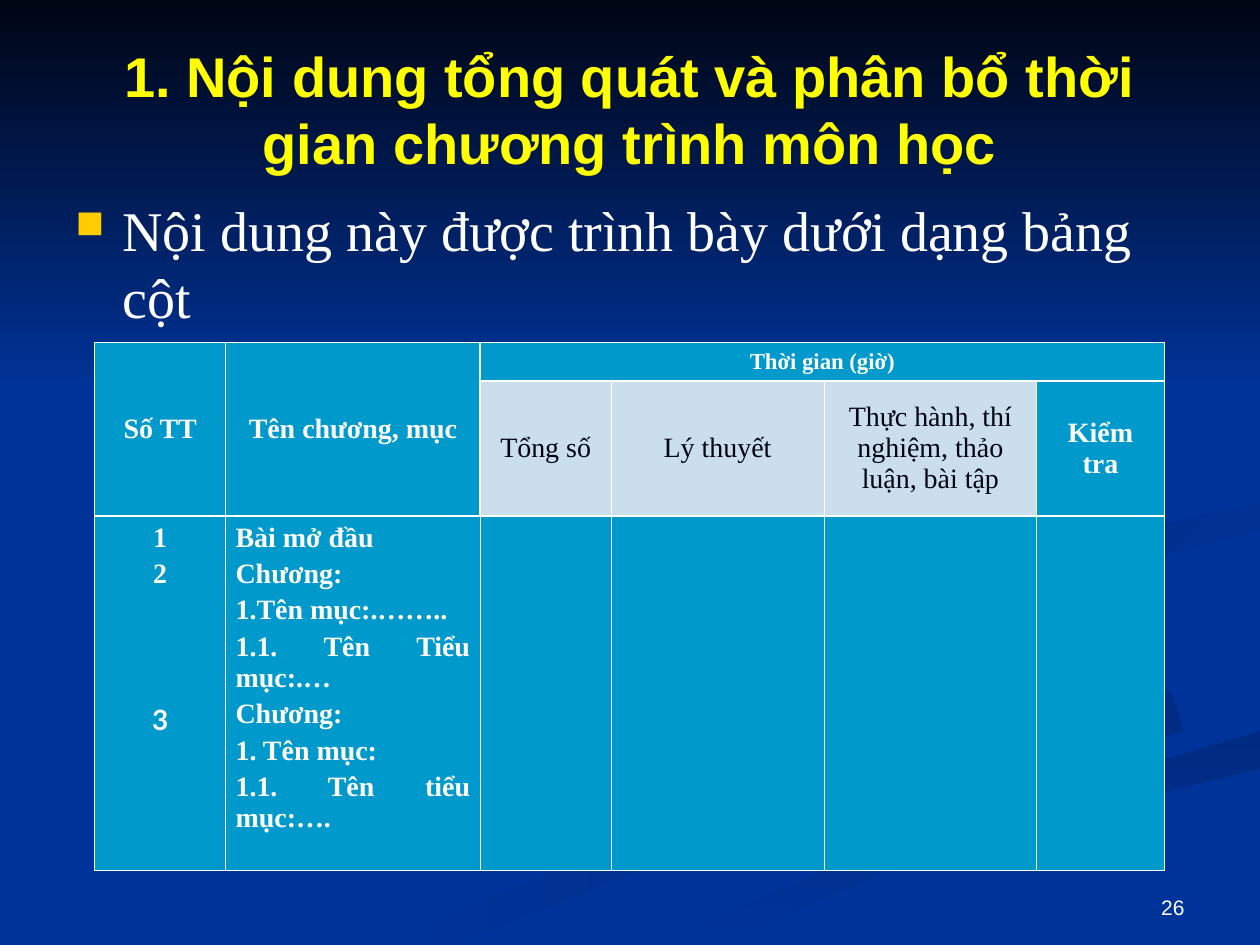
"""Build the slide on general content and time allocation of a course programme."""
from lxml import etree
from pptx import Presentation
from pptx import util as u
from pptx.dml import color
from pptx.enum import text
from pptx.oxml import ns

THEME = {
    "background": "003399", "night": "000514", "title": "FFFF00", "light": "FFFFFF",
    "bullet": "FFCC00", "cell": "0099CC", "pale": "CBDEEC", "shade": "002B82",
    "heading_size": 32, "table_size": 16, "group_size": 13, "number_size": 12,
    "sans": "Arial", "serif": "Times New Roman", "digit": "Lato",
    "thin": 0.45, "thick": 1.47,
}
TITLE = "1. Nội dung tổng quát và phân bổ thời gian chương trình môn học"
BODY = "Nội dung này được trình bày dưới dạng bảng cột"
SLIDE_NUMBER = "26"
COLUMNS = [2.64, 5.13, 2.64, 4.29, 4.29, 2.57]
ROWS = [0.71, 2.72, 7.16]
HEADERS = [
    (0, 0, "Số TT"), (0, 1, "Tên chương, mục"), (0, 2, "Thời gian (giờ)"),
    (1, 2, "Tổng số"), (1, 3, "Lý thuyết"),
    (1, 4, "Thực hành, thí nghiệm, thảo luận, bài tập"), (1, 5, "Kiểm tra"),
]
MERGES = [((0, 0), (1, 0)), ((0, 1), (1, 1)), ((0, 2), (0, 5))]
NUMBERS = ["1", "2", "3"]
CHAPTERS = [
    "Bài mở đầu", "Chương:", "1.Tên mục:.……..", "1.1. Tên Tiểu mục:.…",
    "Chương:", "1. Tên mục:", "1.1. Tên tiểu mục:….",
]
POINT_UNIT = u.Cm(0.254)
SWIRLS = [
    ("background", "shade", 0, [
        (57, 46), (78, 55), (78, 58), (54, 65), (30, 75), (36, 75), (56, 67), (80, 58), (78, 55)]),
    ("background", "shade", 45, [
        (72, 46), (77, 51), (91, 56), (90, 60), (94, 58), (93, 55), (76, 50)]),
    ("shade", "background", 90, [
        (50, 75), (57, 75), (75, 67), (100, 61), (100, 58), (76, 65)]),
    ("background", "background", 0, [
        (73, 46), (93, 55), (94, 58), (74, 64), (48, 75), (52, 75), (70, 67), (100, 58),
        (100, 54), (78, 46), (100, 40), (100, 39)]),
    ("shade", "background", 45, [
        (78, 46), (83, 50), (81, 47), (100, 42), (100, 40), (81, 44)]),
    ("shade", "background", 45, [
        (76, 23), (87, 30), (86, 36), (60, 43), (58, 47), (62, 50), (60, 46), (83, 40),
        (89, 34), (86, 29)]),
    ("night", "background", 90, [(0, 0), (0, 31), (100, 31), (100, 0)]),
]


def rgb(name):
    return color.RGBColor.from_string(THEME[name])


def apply(target, values):
    for name, value in values.items():
        setattr(target, name, value)


def add_swirl(slide, start, end, angle, points):
    builder = slide.shapes.build_freeform(*points[0], scale=POINT_UNIT)
    builder.add_line_segments(points[1:], close=True)
    shape = builder.convert_to_shape()
    shape.shadow.inherit = False
    shape.line.fill.background()
    shape.fill.gradient()
    shape.fill.gradient_angle = (360 - angle) % 360
    for stop, name in zip(shape.fill.gradient_stops, (start, end)):
        stop.color.rgb = rgb(name)


def write(frame, lines, size, ink, font="serif", bold=False, align="CENTER", before=0):
    for index, line in enumerate(lines):
        paragraph = frame.paragraphs[0] if index == 0 else frame.add_paragraph()
        apply(paragraph, {"alignment": getattr(text.PP_ALIGN, align), "space_before": u.Pt(before)})
        run = paragraph.add_run()
        run.text = line
        apply(run.font, {"size": u.Pt(THEME[size]), "name": THEME[font], "bold": bold})
        run.font.color.rgb = rgb(ink)
    return frame.paragraphs


def add_text(slide, box, line, frame_values, **style):
    frame = slide.shapes.add_textbox(*map(u.Cm, box)).text_frame
    apply(frame, {"word_wrap": True, "auto_size": text.MSO_AUTO_SIZE.NONE, **frame_values})
    return write(frame, [line], **style)[0]


def add_bullet(paragraph):
    properties = paragraph._p.get_or_add_pPr()
    for name, value in {"marL": u.Cm(0.95), "indent": -u.Cm(0.95)}.items():
        properties.set(name, str(int(value)))
    holder = etree.SubElement(properties, ns.qn("a:buClr"))
    etree.SubElement(holder, ns.qn("a:srgbClr"), val=THEME["bullet"])
    etree.SubElement(properties, ns.qn("a:buSzPct"), val="70000")
    etree.SubElement(properties, ns.qn("a:buChar"), char="■")


def style_cell(cell, row, column):
    thick_edges = {"L": row < 2 and column == 2, "R": row < 2 and column == 1,
                   "T": row > 0, "B": row < 2}
    properties = cell._tc.get_or_add_tcPr()
    for side, thick in thick_edges.items():
        width = u.Pt(THEME["thick" if thick else "thin"])
        line = etree.SubElement(properties, ns.qn(f"a:ln{side}"), w=str(int(width)))
        fill = etree.SubElement(line, ns.qn("a:solidFill"))
        etree.SubElement(fill, ns.qn("a:srgbClr"), val=THEME["light"])
    cell.fill.solid()
    cell.fill.fore_color.rgb = rgb("pale" if row == 1 and 2 <= column <= 4 else "cell")
    apply(cell, {"margin_left": u.Cm(0.2), "margin_right": u.Cm(0.2),
                 "margin_top": u.Cm(0.13), "margin_bottom": u.Cm(0.13),
                 "vertical_anchor": text.MSO_ANCHOR.MIDDLE if row < 2 else text.MSO_ANCHOR.TOP})


def add_schedule(slide):
    box = (1.91, 6.91, sum(COLUMNS), sum(ROWS))
    table = slide.shapes.add_table(len(ROWS), len(COLUMNS), *map(u.Cm, box)).table
    apply(table, {"first_row": False, "horz_banding": False})
    for column, width in zip(table.columns, COLUMNS):
        column.width = u.Cm(width)
    for row, height in zip(table.rows, ROWS):
        row.height = u.Cm(height)
    for row in range(len(ROWS)):
        for column in range(len(COLUMNS)):
            style_cell(table.cell(row, column), row, column)
    for first, last in MERGES:
        table.cell(*first).merge(table.cell(*last))
    for row, column, label in HEADERS:
        pale = row == 1 and column < 5
        write(table.cell(row, column).text_frame, [label],
              "group_size" if (row, column) == (0, 2) else "table_size",
              "night" if pale else "light", bold=not pale, before=3)
    body = {"size": "table_size", "ink": "light", "bold": True, "before": 3}
    numbers = write(table.cell(2, 0).text_frame, NUMBERS, **body)
    numbers[-1].space_before = u.Pt(65)
    numbers[-1].runs[0].font.name = THEME["digit"]
    write(table.cell(2, 1).text_frame, CHAPTERS, align="JUSTIFY", **body)


def main():
    presentation = Presentation()
    apply(presentation, {"slide_width": u.Cm(25.4), "slide_height": u.Cm(19.05)})
    slide = presentation.slides.add_slide(presentation.slide_layouts[6])
    slide.background.fill.solid()
    slide.background.fill.fore_color.rgb = rgb("background")
    for swirl in SWIRLS:
        add_swirl(slide, *swirl)
    add_text(slide, (1.27, 1.27, 22.86, 3.18), TITLE,
             {"vertical_anchor": text.MSO_ANCHOR.MIDDLE, "margin_bottom": u.Cm(1.45)},
             size="heading_size", ink="title", font="sans", bold=True)
    add_bullet(add_text(slide, (1.27, 3.81, 22.86, 12.57), BODY, {},
                        size="heading_size", ink="light", align="LEFT", before=8))
    add_text(slide, (18.21, 17.35, 5.92, 1.32), SLIDE_NUMBER,
             {"vertical_anchor": text.MSO_ANCHOR.BOTTOM},
             size="number_size", ink="light", font="sans", align="RIGHT")
    add_schedule(slide)
    presentation.save("out.pptx")


if __name__ == "__main__":
    main()
